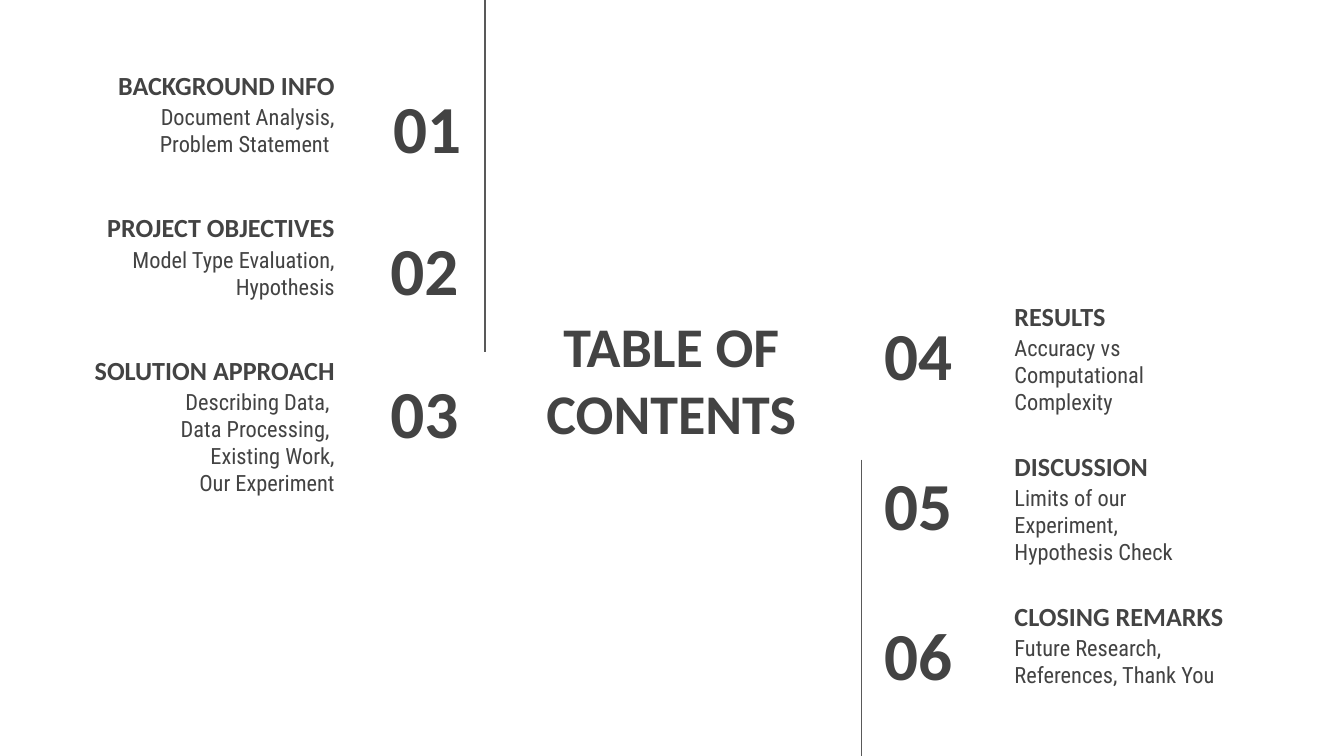
from pptx import Presentation
from pptx.dml.color import RGBColor
from pptx.enum import shapes, text
from pptx.oxml import xmlchemy
from pptx.util import Pt

INK = RGBColor(0x43, 0x43, 0x43)
RULE = RGBColor(0x59, 0x59, 0x59)
WHITE = RGBColor(0xFF, 0xFF, 0xFF)

LEFT = text.PP_ALIGN.LEFT
CENTER = text.PP_ALIGN.CENTER
RIGHT = text.PP_ALIGN.RIGHT
TOP = text.MSO_ANCHOR.TOP
MIDDLE = text.MSO_ANCHOR.MIDDLE
BOTTOM = text.MSO_ANCHOR.BOTTOM

SLIDE_WIDTH, SLIDE_HEIGHT = 720, 405
ROW_HEIGHT = 45.36
HEADING_WIDTH, BODY_WIDTH = 155.52, 131.76
BODY_OFFSET = 32.4

LEFT_SECTIONS = [
    ("01", "BACKGROUND INFO", "Document Analysis, Problem Statement "),
    ("02", "PROJECT OBJECTIVES", "Model Type Evaluation, Hypothesis"),
    ("03", "SOLUTION APPROACH",
     "Describing Data, \nData Processing, \nExisting Work,\nOur Experiment"),
]
RIGHT_SECTIONS = [
    ("04", "RESULTS", "Accuracy vs Computational Complexity"),
    ("05", "DISCUSSION", "Limits of our Experiment,\nHypothesis Check"),
    ("06", "CLOSING REMARKS", "Future Research, References, Thank You"),
]


class ContentsSlide:
    heading_font = "Calibri"
    body_font = "Roboto Condensed"
    inset = Pt(7.2)

    def __init__(self, slide):
        self.slide = slide
        fill = slide.background.fill
        fill.solid()
        fill.fore_color.rgb = WHITE

    def text_box(self, words, left, top, width, height, size, align, anchor, bold=True):
        shape = self.slide.shapes.add_textbox(Pt(left), Pt(top), Pt(width), Pt(height))
        frame = shape.text_frame
        frame.word_wrap = True
        frame.vertical_anchor = anchor
        frame.margin_left = frame.margin_right = self.inset
        frame.margin_top = frame.margin_bottom = self.inset
        frame.text = words
        for paragraph in frame.paragraphs:
            paragraph.alignment = align
            for run in paragraph.runs:
                run.font.name = self.heading_font if bold else self.body_font
                run.font.size = Pt(size)
                run.font.bold = bold
                run.font.color.rgb = INK

    def section(self, section, top, number_at, heading_left, body_left, align):
        """Add a number, its heading and its body; number_at is (left, top, width)."""
        number, heading, body = section
        number_left, number_top, number_width = number_at
        self.text_box(number, number_left, number_top, number_width, ROW_HEIGHT,
                      36, align, MIDDLE)
        self.text_box(heading, heading_left, top, HEADING_WIDTH, ROW_HEIGHT,
                      14, align, BOTTOM)
        self.text_box(body, body_left, top + BODY_OFFSET, BODY_WIDTH, ROW_HEIGHT,
                      12, align, TOP, bold=False)

    def vertical_rule(self, x, top, bottom):
        connector = self.slide.shapes.add_connector(
            shapes.MSO_CONNECTOR.STRAIGHT, Pt(x), Pt(top), Pt(x), Pt(bottom))
        connector.line.color.rgb = RULE
        connector.line.width = Pt(0.75)
        properties = connector._element.spPr
        properties.append(xmlchemy.OxmlElement("a:effectLst"))


def main():
    presentation = Presentation()
    presentation.slide_width = Pt(SLIDE_WIDTH)
    presentation.slide_height = Pt(SLIDE_HEIGHT)
    contents = ContentsSlide(
        presentation.slides.add_slide(presentation.slide_layouts[6]))

    contents.text_box("TABLE OF CONTENTS", 266.4, 165.6, 186.48, 74.16,
                      30, CENTER, MIDDLE)

    for row, section in enumerate(LEFT_SECTIONS):
        top = 15.84 + row * 76.32
        number_left = 167.04 if row == 0 else 165.6
        contents.section(section, top, (number_left, top + 29.2, 87.12),
                         30.96, 54.72, RIGHT)

    for row, section in enumerate(RIGHT_SECTIONS):
        top = 139.68 + row * 80.28
        contents.section(section, top, (466.56, top + 27.2, 84.24),
                         536.4, 536.4, LEFT)

    contents.vertical_rule(259.92, 0, 188.64)
    contents.vertical_rule(461.52, 246.24, SLIDE_HEIGHT)

    presentation.save("out.pptx")


if __name__ == "__main__":
    main()
